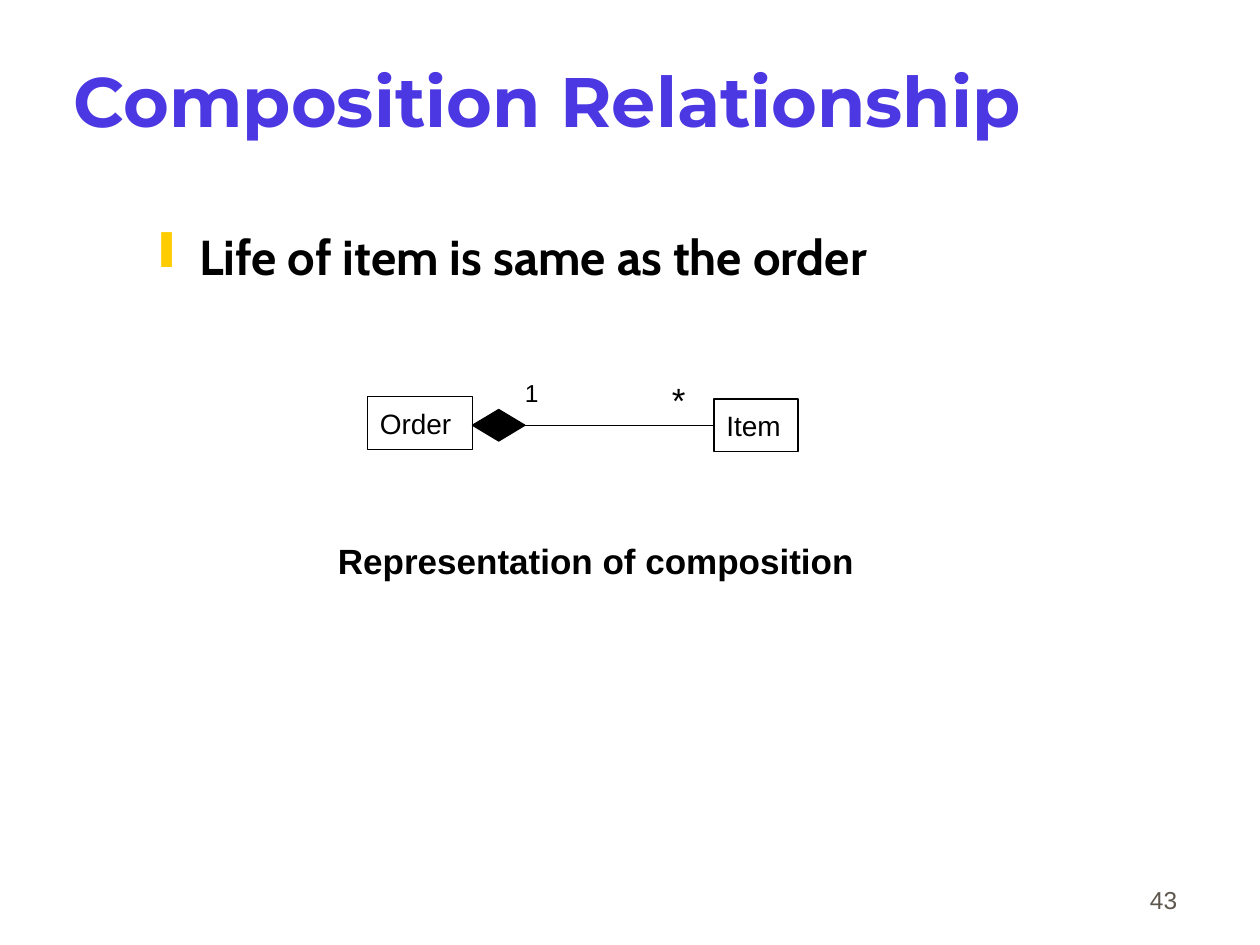
import pptx
import pptx.util
import pptx.dml.color
import pptx.enum.shapes
import pptx.enum.text
import lxml.etree

ANCHOR = pptx.enum.text.MSO_ANCHOR
ALIGN = pptx.enum.text.PP_ALIGN
SHAPE = pptx.enum.shapes.MSO_SHAPE

# Grid of 120 columns by 90 rows, twelve cells to the inch
CELL = pptx.util.Inches(1) / 12
COLUMNS, ROWS = 120, 90
BLACK, INDIGO, GREY, YELLOW = "000000", "4C38E2", "5E574E", "FFCC00"


def color(value):
    return pptx.dml.color.RGBColor.from_string(value)


def grid(*cells):
    return [round(cell * CELL) for cell in cells]


def inside(box, left, top, width, height):
    """Turn a place within a region into a place on the slide."""
    return box[0] + left, box[1] + top, width, height


def set_text(shape, text, size, font="Arial", fill=BLACK, bold=False,
             align=ALIGN.LEFT, anchor=ANCHOR.TOP, wrap=False, insets=(0.1, 0.05)):
    side, edge = (pptx.util.Inches(inset) for inset in insets)
    frame = shape.text_frame
    frame_format = {"margin_left": side, "margin_right": side, "margin_top": edge,
                    "margin_bottom": edge, "vertical_anchor": anchor, "word_wrap": wrap}
    for name, value in frame_format.items():
        setattr(frame, name, value)
    paragraph = frame.paragraphs[0]
    paragraph.alignment = align
    run = paragraph.add_run()
    run.text = text
    for name, value in {"size": pptx.util.Pt(size), "name": font, "bold": bold}.items():
        setattr(run.font, name, value)
    run.font.color.rgb = color(fill)
    return paragraph


def add_text(slide, box, text, size, **text_format):
    shape = slide.shapes.add_textbox(*grid(*box))
    return set_text(shape, text, size, **text_format)


def add_outlined(slide, kind, box, fill=None):
    shape = slide.shapes.add_shape(kind, *grid(*box))
    shape.shadow.inherit = False
    if fill:
        shape.fill.solid()
        shape.fill.fore_color.rgb = color(fill)
    else:
        shape.fill.background()
    shape.line.color.rgb = color(BLACK)
    shape.line.width = pptx.util.Pt(0.75)
    return shape


def add_title(slide, box):
    add_text(slide, box, "Composition Relationship", 40, font="Montserrat", fill=INDIGO,
             bold=True, anchor=ANCHOR.MIDDLE, wrap=True, insets=(0.17, 0.05))


def add_bullet(slide, box):
    paragraph = add_text(slide, box, "Life of item is same as the order", 28,
                         font="Cabin", bold=True, wrap=True, insets=(0.02, 0.05))
    properties = paragraph._p.get_or_add_pPr()
    properties.set("marL", str(pptx.util.Inches(0.81)))
    properties.set("indent", str(pptx.util.Inches(-0.31)))
    namespace = pptx.oxml.ns.qn
    bullet_color = lxml.etree.SubElement(properties, namespace("a:buClr"))
    lxml.etree.SubElement(bullet_color, namespace("a:srgbClr"), val=YELLOW)
    lxml.etree.SubElement(properties, namespace("a:buChar"), char="❙")


def add_class_diagram(slide, box):
    # Class boxes
    classes = {}
    for name, place in {"Order": (0, 1.8, 10, 5), "Item": (33, 2, 8, 5)}.items():
        classes[name] = add_outlined(slide, SHAPE.RECTANGLE, inside(box, *place))
        set_text(classes[name], name, 16, anchor=ANCHOR.MIDDLE)

    # Multiplicities
    for text, size, place in (("1", 14, (15, 0, 1.3, 2.8)), ("*", 20, (29, 0, 1.3, 4))):
        add_text(slide, inside(box, *place), text, size, insets=(0, 0))

    # Filled diamond at the owner's side, joined to the part
    diamond = add_outlined(slide, SHAPE.FLOWCHART_DECISION, inside(box, 10, 3, 5, 3), BLACK)
    connector = slide.shapes.add_connector(
        pptx.enum.shapes.MSO_CONNECTOR.STRAIGHT, 0, 0, 0, 0)
    connector.begin_connect(diamond, 3)
    connector.end_connect(classes["Item"], 1)
    connector.line.color.rgb = color(BLACK)
    connector.line.width = pptx.util.Pt(0.75)
    lxml.etree.SubElement(connector._element.spPr, pptx.oxml.ns.qn("a:effectLst"))


def add_caption(slide, box):
    add_text(slide, box, "Representation of composition", 20, bold=True)


def add_slide_number(slide, box):
    add_text(slide, box, "43", 14, fill=GREY, align=ALIGN.RIGHT,
             anchor=ANCHOR.BOTTOM, wrap=True)


def main():
    presentation = pptx.Presentation()
    presentation.slide_width, presentation.slide_height = grid(COLUMNS, ROWS)
    slide = presentation.slides.add_slide(presentation.slide_layouts[6])
    add_slide_number(slide, (88.3, 81.7, 25, 6))
    add_title(slide, (5, 2, 102, 15))
    add_caption(slide, (31, 50.8, 51.6, 5.3))
    add_class_diagram(slide, (35, 36, 41, 7))
    add_bullet(slide, (9, 21, 102, 10))
    presentation.save("out.pptx")


if __name__ == "__main__":
    main()
